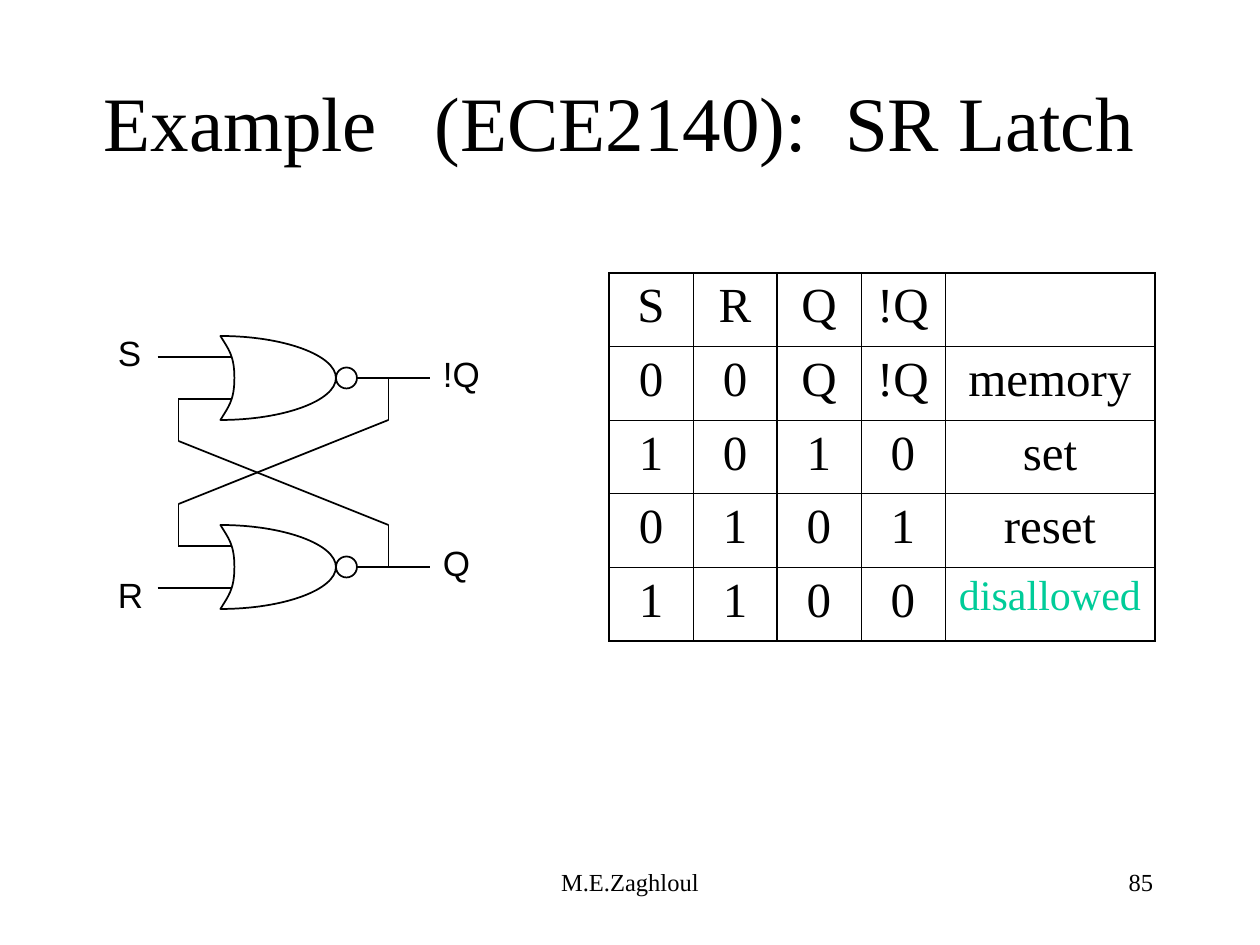
from dataclasses import dataclass
from typing import Any, NamedTuple

from lxml.etree import SubElement
from pptx import Presentation
from pptx.dml.color import RGBColor
from pptx.enum.shapes import MSO_CONNECTOR, MSO_SHAPE
from pptx.enum.text import MSO_ANCHOR, MSO_AUTO_SIZE, PP_ALIGN
from pptx.oxml import parse_xml
from pptx.oxml.ns import nsdecls, qn
from pptx.util import Emu, Inches, Pt


@dataclass(frozen=True)
class Theme:
    """Colours, fonts, type sizes and line widths of the slide."""
    ink: str = "000000"
    accent: str = "00CC99"
    serif: str = "Times New Roman"
    sans: str = "Arial"
    title: int = 44
    cell: int = 28
    note: int = 24
    label: int = 20
    footer: int = 14
    wire: float = 1
    thick: float = 1.08
    thin: float = 0.45


class Label(NamedTuple):
    """A text with its box in grid columns and rows, and its format."""
    text: str
    box: tuple[float, float, float, float]
    size: int
    font: str
    align: PP_ALIGN = PP_ALIGN.LEFT
    frame: dict[str, Any] = {"word_wrap": True}


class Wire(NamedTuple):
    """A straight wire between two grid points."""
    x1: float
    y1: float
    x2: float
    y2: float


THEME = Theme()
COLUMNS, ROWS = 120, 90
WIDTH, HEIGHT = Inches(10), Inches(7.5)
FIT = {"word_wrap": False, "auto_size": MSO_AUTO_SIZE.SHAPE_TO_FIT_TEXT}
LABELS = [
    Label("M.E.Zaghloul", (41, 82, 38, 6), THEME.footer, THEME.serif, PP_ALIGN.CENTER),
    Label("85", (86, 82, 25, 6), THEME.footer, THEME.serif, PP_ALIGN.RIGHT),
    Label("Example   (ECE2140):  SR Latch", (8, 4, 102, 15), THEME.title, THEME.serif,
          PP_ALIGN.CENTER, {"word_wrap": True, "vertical_anchor": MSO_ANCHOR.MIDDLE}),
    *(Label(text, (x, y, w, 5.25), THEME.label, THEME.sans, frame=FIT)
      for text, x, y, w in [("S", 10.05, 31, 4.6), ("R", 10.05, 54, 4.8),
                            ("!Q", 41, 33, 5.9), ("Q", 41, 51, 4.9)]),
]
GATE_LEFT, GATE_CENTERS = 21, (36, 54)
GATE_START = (0, -4)
GATE_CURVES = [((0.75, -2.75), (1.33, -2.17), (1.33, 0)),
               ((1.33, 2.17), (0.75, 2.75), (0, 4)),
               ((6, 4), (11, 2.17), (11, 0)),
               ((11, -2.17), (6, -4), GATE_START)]
LATCH_MIDDLE = 45
HALF_WIRES = [Wire(15, 34, 22, 34), Wire(17, 38, 22, 38), Wire(34, 36, 41, 36),
              Wire(17, 38, 17, 42), Wire(37, 36, 37, 40)]
CROSS_WIRES = [Wire(17, 42, 37, 50), Wire(17, 48, 37, 40)]
TRUTH_TABLE = [["S", "R", "Q", "!Q", ""],
               ["0", "0", "Q", "!Q", "memory"],
               ["1", "0", "1", "0", "set"],
               ["0", "1", "0", "1", "reset"],
               ["1", "1", "0", "0", "disallowed"]]
TABLE_COLUMNS, TABLE_ROW = (8, 8, 8, 8, 20), 7.01
THICK_VERTICALS, THICK_HORIZONTALS = {0, 2, 5}, {0, 1, 5}


def gx(column: float) -> Emu:
    """Turn grid columns into a length."""
    return Emu(round(WIDTH * column / COLUMNS))


def gy(row: float) -> Emu:
    """Turn grid rows into a length."""
    return Emu(round(HEIGHT * row / ROWS))


def apply(target: Any, values: dict[str, Any]) -> None:
    """Set every format value on the target."""
    for name, value in values.items():
        setattr(target, name, value)


def write(p: Any, text: str, size: int, font: str, color: str, **paragraph: Any) -> None:
    """Write one formatted run into a paragraph."""
    apply(p, paragraph)
    r = p.add_run()
    r.text = text
    apply(r.font, {"size": Pt(size), "name": font})
    r.font.color.rgb = RGBColor.from_string(color)


def add_label(s: Any, label: Label) -> None:
    """Add a text box."""
    x, y, w, h = label.box
    tf = s.shapes.add_textbox(gx(x), gy(y), gx(w), gy(h)).text_frame
    apply(tf, label.frame)
    write(tf.paragraphs[0], label.text, label.size, label.font, THEME.ink,
          alignment=label.align)


def ink_line(sp: Any) -> None:
    """Give a shape the line of the circuit."""
    sp.line.color.rgb = RGBColor.from_string(THEME.ink)
    sp.line.width = Pt(THEME.wire)


def add_wire(s: Any, wire: Wire) -> None:
    """Add a wire as a connector without shadow."""
    sp = s.shapes.add_connector(MSO_CONNECTOR.STRAIGHT, gx(wire.x1), gy(wire.y1),
                                gx(wire.x2), gy(wire.y2))
    ink_line(sp)
    SubElement(sp._element.spPr, qn("a:effectLst"))


def add_gate_body(shapes: Any, left: float, center: float) -> Any:
    """Add the gate outline and bend its straight segments into cubic curves."""
    ends = [(gx(left + x), gy(center + y)) for x, y in (c[-1] for c in GATE_CURVES)]
    builder = shapes.build_freeform(*ends[-1])
    builder.add_line_segments(ends, close=True)
    sp = builder.convert_to_shape()
    segments = list(sp._element.spPr.iter(qn("a:lnTo")))
    for segment, curve in zip(segments, GATE_CURVES):
        segment.tag = qn("a:cubicBezTo")
        segment.remove(segment[0])
        for x, y in curve:
            SubElement(segment, qn("a:pt"), x=str(gx(x)), y=str(gy(y - GATE_START[1])))
    return sp


def add_nor_gate(s: Any, left: float, center: float) -> None:
    """Add a NOR gate as a group of its body and its inverting bubble."""
    shapes = s.shapes.add_group_shape().shapes
    body = add_gate_body(shapes, left, center)
    bubble = shapes.add_shape(MSO_SHAPE.OVAL, gx(left + 11), gy(center - 1), gx(2), gy(2))
    for sp in (body, bubble):
        sp.shadow.inherit = False
        sp.fill.background()
        ink_line(sp)


def set_borders(cell: Any, row: int, column: int) -> None:
    """Set the four borders of a cell, thick on the ruled grid lines."""
    sides = {"L": column in THICK_VERTICALS, "R": column + 1 in THICK_VERTICALS,
             "T": row in THICK_HORIZONTALS, "B": row + 1 in THICK_HORIZONTALS}
    tc_pr = cell._tc.get_or_add_tcPr()
    for i, (side, thick) in enumerate(sides.items()):
        width = Pt(THEME.thick if thick else THEME.thin)
        tc_pr.insert(i, parse_xml(
            f'<a:ln{side} {nsdecls("a")} w="{width}"><a:solidFill>'
            f'<a:srgbClr val="{THEME.ink}"/></a:solidFill></a:ln{side}>'))


def add_truth_table(s: Any, x: float, y: float) -> None:
    """Add the truth table of the latch."""
    count = len(TRUTH_TABLE)
    table = s.shapes.add_table(count, len(TABLE_COLUMNS), gx(x), gy(y),
                               gx(sum(TABLE_COLUMNS)), gy(count * TABLE_ROW)).table
    apply(table, {"first_row": False, "horz_banding": False})
    for column, width in zip(table.columns, TABLE_COLUMNS):
        column.width = gx(width)
    for i, texts in enumerate(TRUTH_TABLE):
        table.rows[i].height = gy(TABLE_ROW)
        for j, text in enumerate(texts):
            cell = table.cell(i, j)
            cell.fill.background()
            set_borders(cell, i, j)
            warning = text == "disallowed"
            if text:
                write(cell.text_frame.paragraphs[0], text,
                      THEME.note if warning else THEME.cell, THEME.serif,
                      THEME.accent if warning else THEME.ink,
                      alignment=PP_ALIGN.CENTER, space_before=Pt(6 if warning else 7))


def main() -> None:
    """Build the slide and save it."""
    prs = Presentation()
    apply(prs, {"slide_width": WIDTH, "slide_height": HEIGHT})
    s = prs.slides.add_slide(prs.slide_layouts[6])
    for label in LABELS:
        add_label(s, label)
    add_truth_table(s, 58, 26)
    for center in GATE_CENTERS:
        add_nor_gate(s, GATE_LEFT, center)
    mirrored = [Wire(w.x1, 2 * LATCH_MIDDLE - w.y1, w.x2, 2 * LATCH_MIDDLE - w.y2)
                for w in HALF_WIRES]
    for wire in HALF_WIRES + mirrored + CROSS_WIRES:
        add_wire(s, wire)
    prs.save("out.pptx")


if __name__ == "__main__":
    main()
